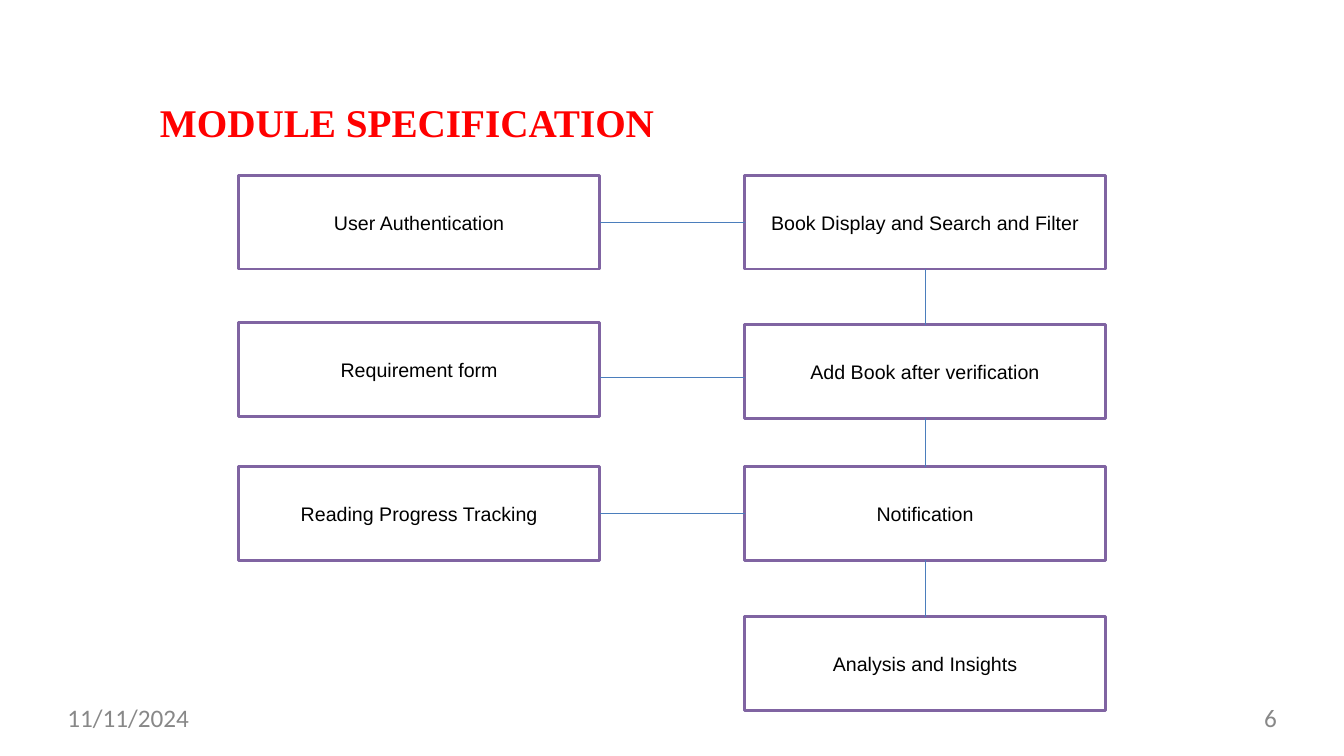
from lxml.etree import SubElement
from pptx import Presentation
from pptx.dml.color import RGBColor
from pptx.enum.shapes import MSO_CONNECTOR, MSO_SHAPE
from pptx.enum.text import MSO_ANCHOR, MSO_AUTO_SIZE, PP_ALIGN
from pptx.oxml.ns import qn
from pptx.util import Cm, Pt

TITLE = "MODULE SPECIFICATION"
DATE, NUMBER = "11/11/2024", "6"

# column -> (left, [(module, top)]), in cm
COLUMNS = {
    "side": (6.02, [
        ("User Authentication", 4.42),
        ("Requirement form", 8.13),
        ("Reading Progress Tracking", 11.76),
    ]),
    "main": (18.77, [
        ("Book Display and Search and Filter", 4.42),
        ("Add Book after verification", 8.18),
        ("Notification", 11.76),
        ("Analysis and Insights", 15.54),
    ]),
}
BOX_W, BOX_H = 9.09, 2.36
FORM_LINK_Y = 9.52  # level line between two boxes of unequal height on the page
TOP, LEFT, BOTTOM, RIGHT = range(4)  # connection sites of a rectangle

THEME = {
    "fill": RGBColor(0xFF, 0xFF, 0xFF),
    "border": RGBColor(0x80, 0x64, 0xA2),
    "link": RGBColor(0x4B, 0x7E, 0xBC),
    "border_width": Pt(2),
    "link_width": Pt(0.75),
    "title": {"name": "Times New Roman", "size": Pt(28), "bold": True,
              "color": RGBColor(0xFF, 0, 0)},
    "module": {"name": "Arial", "size": Pt(14), "color": RGBColor(0, 0, 0)},
    "footer": {"name": "Calibri", "size": Pt(18),
               "color": RGBColor(0x88, 0x88, 0x88)},
}


def write(sp, text, style, align, anchor=MSO_ANCHOR.TOP, margins=(0.25, 0.13)):
    tf = sp.text_frame
    side, end = map(Cm, margins)
    frame = {"word_wrap": True, "auto_size": MSO_AUTO_SIZE.NONE,
             "vertical_anchor": anchor, "margin_left": side,
             "margin_right": side, "margin_top": end, "margin_bottom": end}
    for name, value in frame.items():
        setattr(tf, name, value)
    p = tf.paragraphs[0]
    p.alignment = align
    r = p.add_run()
    r.text = text
    for name, value in THEME[style].items():
        if name == "color":
            r.font.color.rgb = value
        else:
            setattr(r.font, name, value)


def add_module(slide, text, left, top):
    sp = slide.shapes.add_shape(MSO_SHAPE.RECTANGLE, Cm(left), Cm(top),
                                Cm(BOX_W), Cm(BOX_H))
    sp.shadow.inherit = False
    sp.fill.solid()
    sp.fill.fore_color.rgb = THEME["fill"]
    sp.line.color.rgb = THEME["border"]
    sp.line.width = THEME["border_width"]
    write(sp, text, "module", PP_ALIGN.CENTER, MSO_ANCHOR.MIDDLE)
    return sp


def add_link(slide, a, a_site, b, b_site, y=None):
    """Glue a line to two boxes, or draw it level at y between them."""
    level = Cm(y or 0)
    link = slide.shapes.add_connector(MSO_CONNECTOR.STRAIGHT, a.left + a.width,
                                      level, b.left, level)
    if y is None:
        link.begin_connect(a, a_site)
        link.end_connect(b, b_site)
    link.line.color.rgb = THEME["link"]
    link.line.width = THEME["link_width"]
    SubElement(link._element.spPr, qn("a:effectLst"))


def main():
    prs = Presentation()
    prs.slide_width, prs.slide_height = Cm(33.87), Cm(19.05)
    slide = prs.slides.add_slide(prs.slide_layouts[5])

    title = slide.shapes.title
    box = {"left": 3.78, "top": 2.34, "width": 28.37, "height": 1.45}
    for name, value in box.items():
        setattr(title, name, Cm(value))
    write(title, TITLE, "title", PP_ALIGN.JUSTIFY)

    for text, left, align in ((DATE, 1.7, PP_ALIGN.LEFT),
                              (NUMBER, 24.38, PP_ALIGN.RIGHT)):
        sp = slide.shapes.add_textbox(Cm(left), Cm(17.7), Cm(7.8), Cm(0.97))
        write(sp, text, "footer", align, margins=(0, 0))

    boxes = {column: [add_module(slide, text, left, top) for text, top in modules]
             for column, (left, modules) in COLUMNS.items()}
    side, flow = boxes["side"], boxes["main"]
    for a, b, y in zip(side, flow, (None, FORM_LINK_Y, None)):
        add_link(slide, a, RIGHT, b, LEFT, y)
    for a, b in zip(flow, flow[1:]):
        add_link(slide, a, BOTTOM, b, TOP)

    prs.save("out.pptx")


if __name__ == "__main__":
    main()
